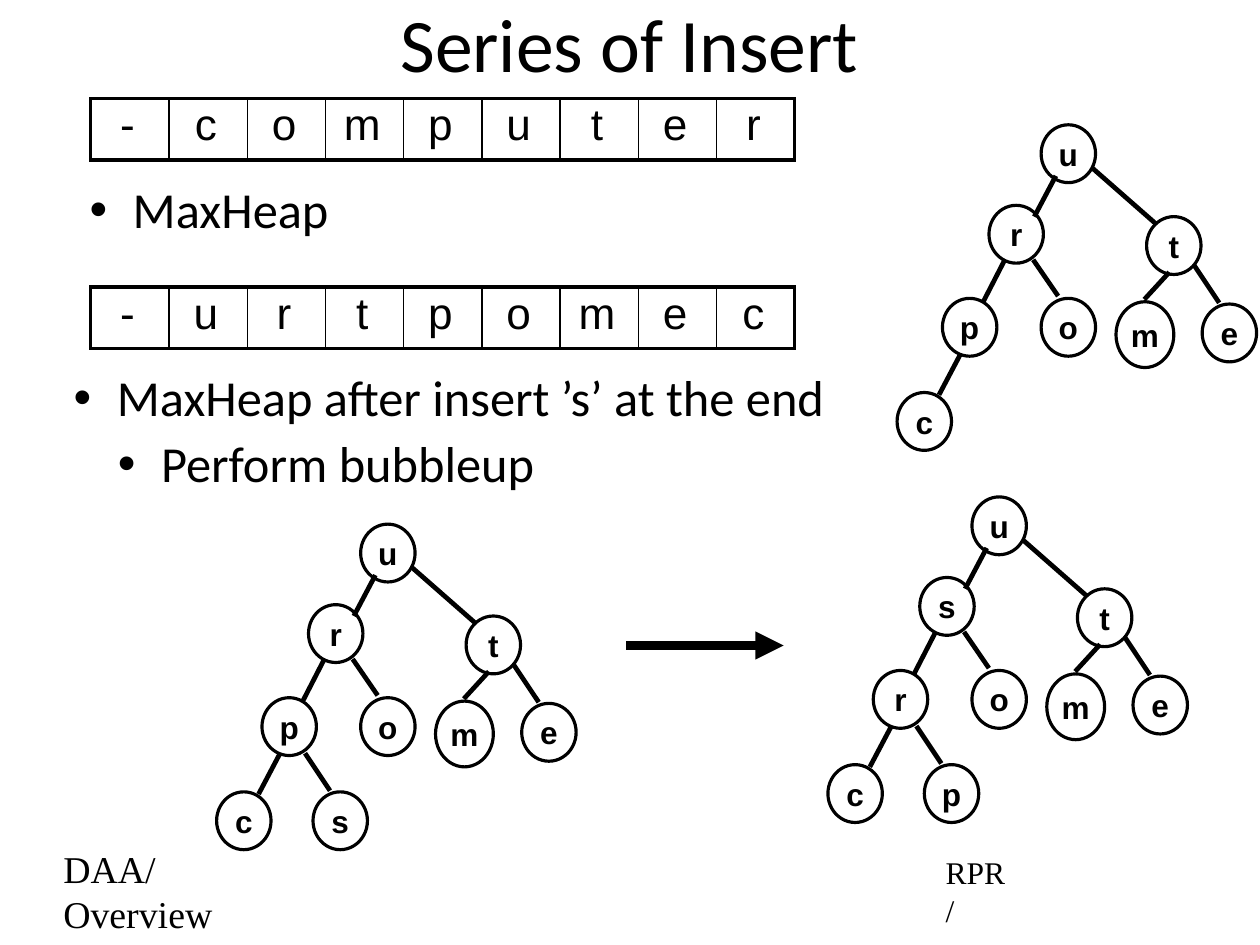
from lxml import etree
from pptx import Presentation
from pptx import util as u
from pptx.dml.color import RGBColor
from pptx.enum import shapes, text
from pptx.oxml import ns

SCALE = 9144
INK = "000000"
NODE_SPOTS = [(0, 0), (-46, 71), (93, 81), (-87, 153), (0, 153),
              (66, 156), (142, 158), (-127, 236), (-42, 236)]
EDGES = [(-6, 81, 13, 45), (102, 88, 45, 38), (-51, 156, -32, 119),
         (15, 151, -7, 119), (91, 154, 113, 130), (157, 157, 135, 124),
         (-90, 238, -71, 202), (-27, 235, -49, 202)]
TREES = [(918, 110, "urtpomec"), (318, 462, "urtpomecs"), (857, 438, "ustromecp")]
ARRAYS = [(87, "-computer"), (253, "-urtpomec")]


def px(length):
    return u.Emu(length * SCALE)


def color(value):
    return RGBColor.from_string(value)


def assign(target, values):
    for name, value in values.items():
        setattr(target, name, value)


def child(parent, tag, **attributes):
    return etree.SubElement(parent, ns.qn(tag), attributes)


class Page:
    title = {"name": "Calibri", "size": u.Pt(48)}
    body = {"name": "Calibri", "size": u.Pt(32)}
    cell = {"name": "Arial", "size": u.Pt(28)}
    node_font = {"name": "Arial", "size": u.Pt(20), "bold": True}
    footer = {"name": "Times New Roman", "size": u.Pt(24)}
    small_footer = {"name": "Times New Roman", "size": u.Pt(20)}

    def __init__(self, deck):
        self.slide = deck.slides.add_slide(deck.slide_layouts[6])

    def words(self, para, content, font, **layout):
        assign(para, layout)
        span = para.add_run()
        span.text = content
        assign(span.font, font)
        span.font.color.rgb = color(INK)

    def frame(self, shape, left=6, wrap=True, anchor=text.MSO_ANCHOR.MIDDLE):
        frame = shape.text_frame
        assign(frame, {"margin_left": px(left), "margin_right": px(6),
                       "margin_top": px(6), "margin_bottom": px(6),
                       "word_wrap": wrap, "vertical_anchor": anchor})
        return frame

    def label(self, place, content, font, left=6, align=text.PP_ALIGN.LEFT):
        box = self.slide.shapes.add_textbox(*map(px, place))
        para = self.frame(box, left).paragraphs[0]
        self.words(para, content, font, alignment=align)

    def bullets(self, place, lines):
        box = self.slide.shapes.add_textbox(*map(px, place))
        frame = self.frame(box, anchor=text.MSO_ANCHOR.TOP)
        for level, content in enumerate(lines):
            para = frame.add_paragraph() if level else frame.paragraphs[0]
            layout = {"level": level, "line_spacing": 0.9}
            if level:
                layout["space_before"] = u.Pt(7)
            assign(para, layout)
            properties = para._p.get_or_add_pPr()
            properties.set("marL", str(px(42 + 39 * level)))
            properties.set("indent", str(px(-38)))
            child(properties, "a:buFont", typeface="Arial")
            child(properties, "a:buChar", char="•")
            self.words(para, content, self.body)

    def border(self, cell, sides):
        properties = cell._tc.get_or_add_tcPr()
        for tag, points in sides.items():
            line = child(properties, tag, w=str(u.Pt(points)))
            child(child(line, "a:solidFill"), "a:srgbClr", val=INK)

    def array(self, top, letters):
        count = len(letters)
        place = map(px, (80, top, 69 * count, 53))
        table = self.slide.shapes.add_table(1, count, *place).table
        assign(table, {"first_row": False, "horz_banding": False})
        for column, letter in enumerate(letters):
            cell = table.cell(0, column)
            assign(cell, {"margin_left": px(6), "margin_right": px(10),
                          "margin_top": px(6), "margin_bottom": px(6)})
            self.border(cell, {"a:lnL": 1 if column else 2.25,
                               "a:lnR": 1 if column < count - 1 else 2.25,
                               "a:lnT": 2.25, "a:lnB": 2.25})
            cell.fill.background()
            self.words(cell.text_frame.paragraphs[0], letter, self.cell,
                       alignment=text.PP_ALIGN.CENTER, line_spacing=0.9)

    def node(self, left, top, letter):
        size = (51, 58) if letter == "m" else (48, 51)
        oval = self.slide.shapes.add_shape(
            shapes.MSO_SHAPE.OVAL, *map(px, (left, top, *size)))
        oval.shadow.inherit = False
        oval.fill.background()
        oval.line.color.rgb = color(INK)
        oval.line.width = u.Pt(2)
        para = self.frame(oval, wrap=False).paragraphs[0]
        self.words(para, letter, self.node_font, alignment=text.PP_ALIGN.CENTER)

    def line(self, ends, points, arrow=False):
        line = self.slide.shapes.add_connector(
            shapes.MSO_CONNECTOR.STRAIGHT, *map(px, ends))
        line.line.color.rgb = color(INK)
        line.line.width = u.Pt(points)
        properties = line._element.spPr
        if arrow:
            child(properties.find(ns.qn("a:ln")), "a:tailEnd", type="triangle")
        child(properties, "a:effectLst")

    def tree(self, left, top, letters):
        for (across, down), letter in zip(NODE_SPOTS, letters):
            self.node(left + across, top + down, letter)
        for x1, y1, x2, y2 in EDGES[:len(letters) - 1]:
            self.line((left + x1, top + y1, left + x2, top + y2), 3)


def main():
    deck = Presentation()
    assign(deck, {"slide_width": px(1111), "slide_height": px(833)})
    page = Page(deck)
    page.label((83, -2, 944, 79), "Series of Insert", page.title,
               align=text.PP_ALIGN.CENTER)
    page.label((46, 762, 190, 47), "DAA/Overview", page.footer, left=10)
    page.label((824, 764, 70, 42), "RPR/", page.small_footer, left=10)
    for top, letters in ARRAYS:
        page.array(top, letters)
    page.bullets((69, 157, 671, 74), ["MaxHeap"])
    page.bullets((55, 323, 708, 128),
                 ["MaxHeap after insert ’s’ at the end", "Perform bubbleup"])
    for left, top, letters in TREES:
        page.tree(left, top, letters)
    page.line((552, 569, 691, 569), 6, arrow=True)
    deck.save("out.pptx")


if __name__ == "__main__":
    main()
